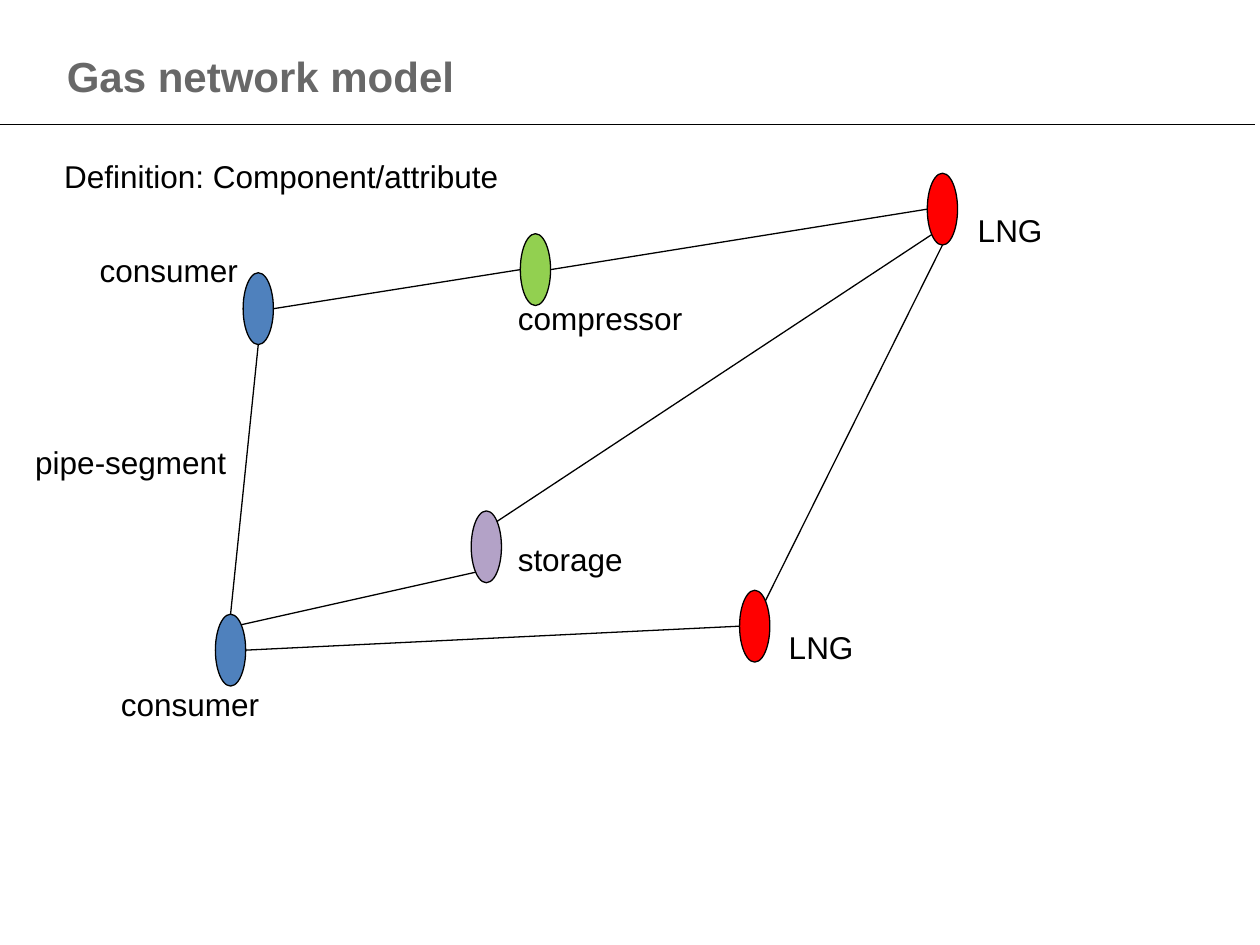
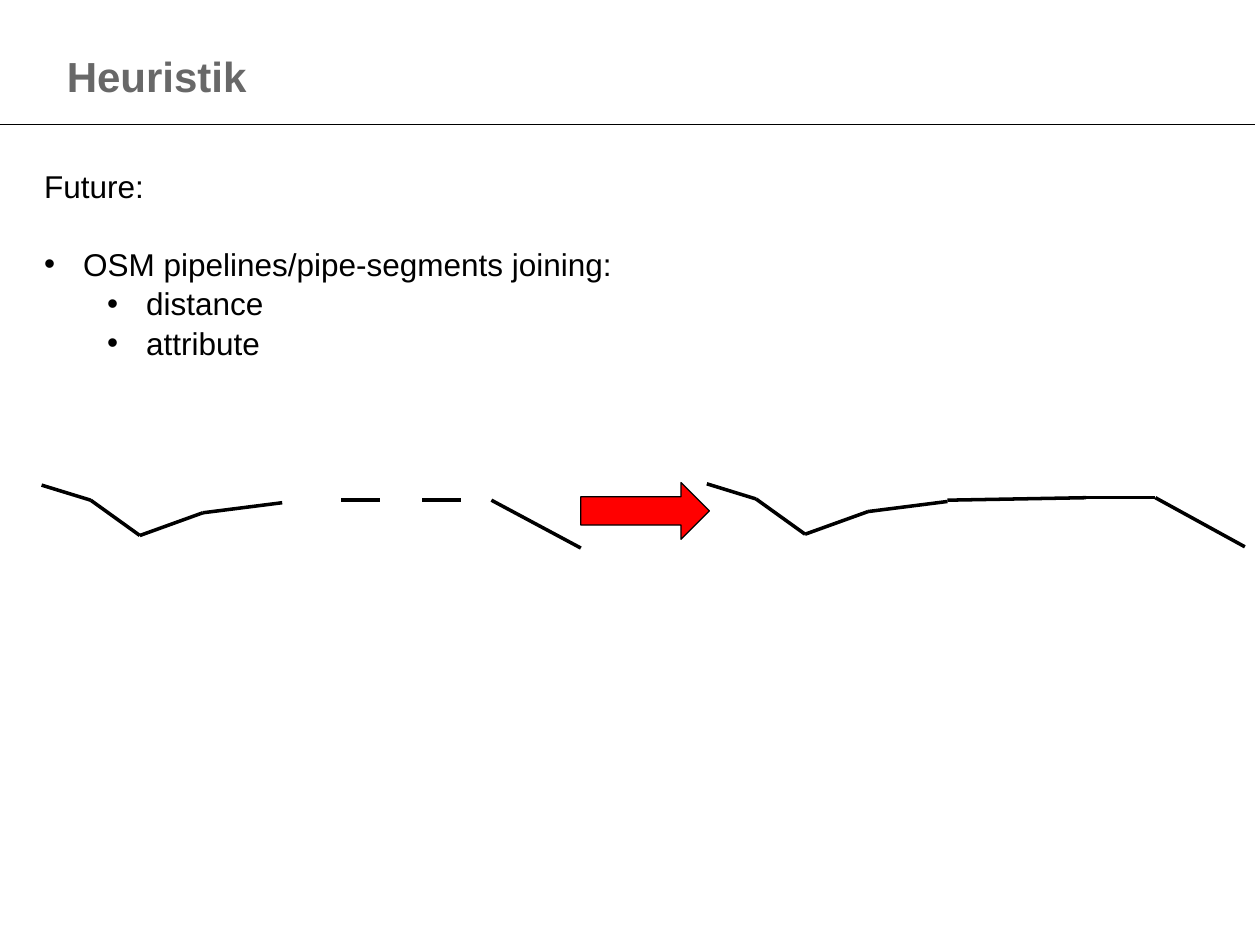
import itertools
import math

import pptx
import pptx.dml.color
import pptx.enum.shapes
import pptx.enum.text
import pptx.oxml.ns
import pptx.util
from lxml import etree

# Shared style; the grid has 100 columns and 75 rows
COLUMNS, ROWS = 100, 75
FONT = "Arial"
COLORS = {
    "title": "686868",
    "ink": "000000",
    "consumer": "4F81BD",
    "storage": "B3A2C7",
    "compressor": "92D050",
    "red": "FF0000",
}
TITLE_ONLY, TITLE_AND_BODY = 5, 1
THIN, THICK = 0.75, 2

# Gas network: node centres, pipes (node, angle, node, angle), labels
NODE_WIDTH, NODE_HEIGHT = 2.4, 5.7
NODES = {
    "north consumer": (20.5, 24.5, "consumer"),
    "storage": (38.6, 43.4, "storage"),
    "compressor": (42.5, 21.4, "compressor"),
    "south consumer": (18.3, 51.6, "consumer"),
    "south LNG": (59.9, 49.7, "red"),
    "north LNG": (74.8, 16.6, "red"),
}
PIPES = [
    ("north consumer", 0, "compressor", 180),
    ("compressor", 0, "north LNG", 180),
    ("north LNG", 135, "storage", -45),
    ("north LNG", 90, "south LNG", -45),
    ("north consumer", 90, "south consumer", -90),
    ("south consumer", -45, "storage", 135),
    ("south consumer", 0, "south LNG", 180),
]
LABELS = [
    ("Definition: Component/attribute", 5.1, 12.3, 34.8),
    ("LNG", 77.6, 16.6, 5.2),
    ("LNG", 62.6, 49.7, 5.2),
    ("storage", 41.1, 42.7, 8.4),
    ("compressor", 41.1, 23.6, 13.6),
    ("consumer", 7.9, 19.8, 11.1),
    ("consumer", 9.6, 54.2, 11.1),
    ("pipe-segment", 2.8, 35, 15.3),
]

# Pipeline before and after joining
BENDS = [(3.3, 38.5), (7.2, 39.7), (11.1, 42.5), (16.1, 40.7), (22.4, 39.9)]
LOOSE_PARTS = [
    [(27.1, 39.7), (30.2, 39.7)],
    [(33.5, 39.7), (36.6, 39.7)],
    [(39, 39.7), (46.1, 43.5)],
]
JOINED_SHIFT = (52.8, -0.1)
JOINED_END = [(75.2, 39.7), (86.2, 39.5), (91.7, 39.5), (98.8, 43.4)]

# Body lines: text, level, space before in points
HEURISTIC_LINES = [
    ("Future:", 0, 0),
    ("OSM pipelines/pipe-segments joining:", 0, 21.7),
    ("distance", 1, 0),
    ("attribute", 1, 0),
]


def grid(*cells):
    return [pptx.util.Inches(cell / 10) for cell in cells]


def color(name):
    return pptx.dml.color.RGBColor.from_string(COLORS[name])


def set_frame(frame, wrap):
    frame.word_wrap = wrap
    frame.auto_size = pptx.enum.text.MSO_AUTO_SIZE.NONE
    frame.vertical_anchor = pptx.enum.text.MSO_ANCHOR.TOP
    frame.margin_left = frame.margin_right = 0
    frame.margin_top = frame.margin_bottom = 0


def format_paragraph(paragraph, size=18, ink="ink", bold=False, spacing=1.05):
    paragraph.alignment = pptx.enum.text.PP_ALIGN.LEFT
    paragraph.line_spacing = spacing
    paragraph.font.name = FONT
    paragraph.font.size = pptx.util.Pt(size)
    paragraph.font.bold = bold
    paragraph.font.color.rgb = color(ink)


def place(shape, *cells):
    shape.left, shape.top, shape.width, shape.height = grid(*cells)


def add_line(page, start, end, width=THIN):
    line = page.shapes.add_connector(
        pptx.enum.shapes.MSO_CONNECTOR.STRAIGHT, *grid(*start, *end))
    line.line.color.rgb = color("ink")
    line.line.width = pptx.util.Pt(width)
    etree.SubElement(line._element.spPr, pptx.oxml.ns.qn("a:effectLst"))


def add_route(page, points):
    for start, end in itertools.pairwise(points):
        add_line(page, start, end, THICK)


def add_page(deck, layout, title):
    page = deck.slides.add_slide(deck.slide_layouts[layout])
    heading = page.shapes.title
    place(heading, 5.3, 3.6, 89.4, 5.5)
    heading.text_frame.text = title
    set_frame(heading.text_frame, True)
    format_paragraph(heading.text_frame.paragraphs[0], 24, "title", True, 1.1)
    add_line(page, (0, 9.9), (99.6, 9.9))
    return page


def add_filled(page, kind, cells, fill):
    shape = page.shapes.add_shape(kind, *grid(*cells))
    shape.shadow.inherit = False
    shape.fill.solid()
    shape.fill.fore_color.rgb = color(fill)
    shape.line.color.rgb = color("ink")
    shape.line.width = pptx.util.Pt(THIN)


def add_label(page, text, left, top, width):
    box = page.shapes.add_textbox(*grid(left, top, width, 3))
    box.text_frame.text = text
    set_frame(box.text_frame, False)
    format_paragraph(box.text_frame.paragraphs[0])


def node_edge(node, angle):
    """Point on the node's outline, clockwise from its right side."""
    x, y, _ = NODES[node]
    turn = math.radians(angle)
    return (x + NODE_WIDTH / 2 * math.cos(turn),
            y + NODE_HEIGHT / 2 * math.sin(turn))


def set_bullet(paragraph, indent, bulleted):
    properties = paragraph._p.get_or_add_pPr()
    hang = 3.1 if bulleted else 0
    left, first = grid(indent, -hang)
    properties.set("marL", str(left))
    properties.set("indent", str(first))
    if bulleted:
        font = etree.SubElement(properties, pptx.oxml.ns.qn("a:buFont"))
        font.set("typeface", FONT)
        bullet = etree.SubElement(properties, pptx.oxml.ns.qn("a:buChar"))
        bullet.set("char", "•")
    else:
        etree.SubElement(properties, pptx.oxml.ns.qn("a:buNone"))


def fill_body(page, lines):
    body = page.placeholders[1]
    place(body, 3.5, 13.1, 45.5, 15)
    frame = body.text_frame
    frame.text = "\n".join(text for text, _, _ in lines)
    set_frame(frame, False)
    for paragraph, (_, level, gap) in zip(frame.paragraphs, lines):
        bulleted = paragraph is not None and (level > 0 or gap > 0)
        paragraph.level = level
        set_bullet(paragraph, 3.1 + 5 * level if bulleted else 0, bulleted)
        format_paragraph(paragraph)
        paragraph.space_before = pptx.util.Pt(gap)


def build_network(deck):
    page = add_page(deck, TITLE_ONLY, "Gas network model")
    for x, y, fill in NODES.values():
        cells = (x - NODE_WIDTH / 2, y - NODE_HEIGHT / 2,
                 NODE_WIDTH, NODE_HEIGHT)
        add_filled(page, pptx.enum.shapes.MSO_SHAPE.OVAL, cells, fill)
    for start, start_angle, end, end_angle in PIPES:
        add_line(page, node_edge(start, start_angle), node_edge(end, end_angle))
    for label in LABELS:
        add_label(page, *label)


def build_heuristic(deck):
    page = add_page(deck, TITLE_AND_BODY, "Heuristik")
    fill_body(page, HEURISTIC_LINES)
    shift_x, shift_y = JOINED_SHIFT
    joined_bends = [(x + shift_x, y + shift_y) for x, y in BENDS]
    for route in [BENDS, *LOOSE_PARTS, joined_bends, JOINED_END]:
        add_route(page, route)
    add_filled(page, pptx.enum.shapes.MSO_SHAPE.RIGHT_ARROW,
               (46.1, 38.3, 10.2, 4.5), "red")


def main():
    deck = pptx.Presentation()
    deck.slide_width, deck.slide_height = grid(COLUMNS, ROWS)
    build_network(deck)
    build_heuristic(deck)
    deck.save("out.pptx")


if __name__ == "__main__":
    main()
